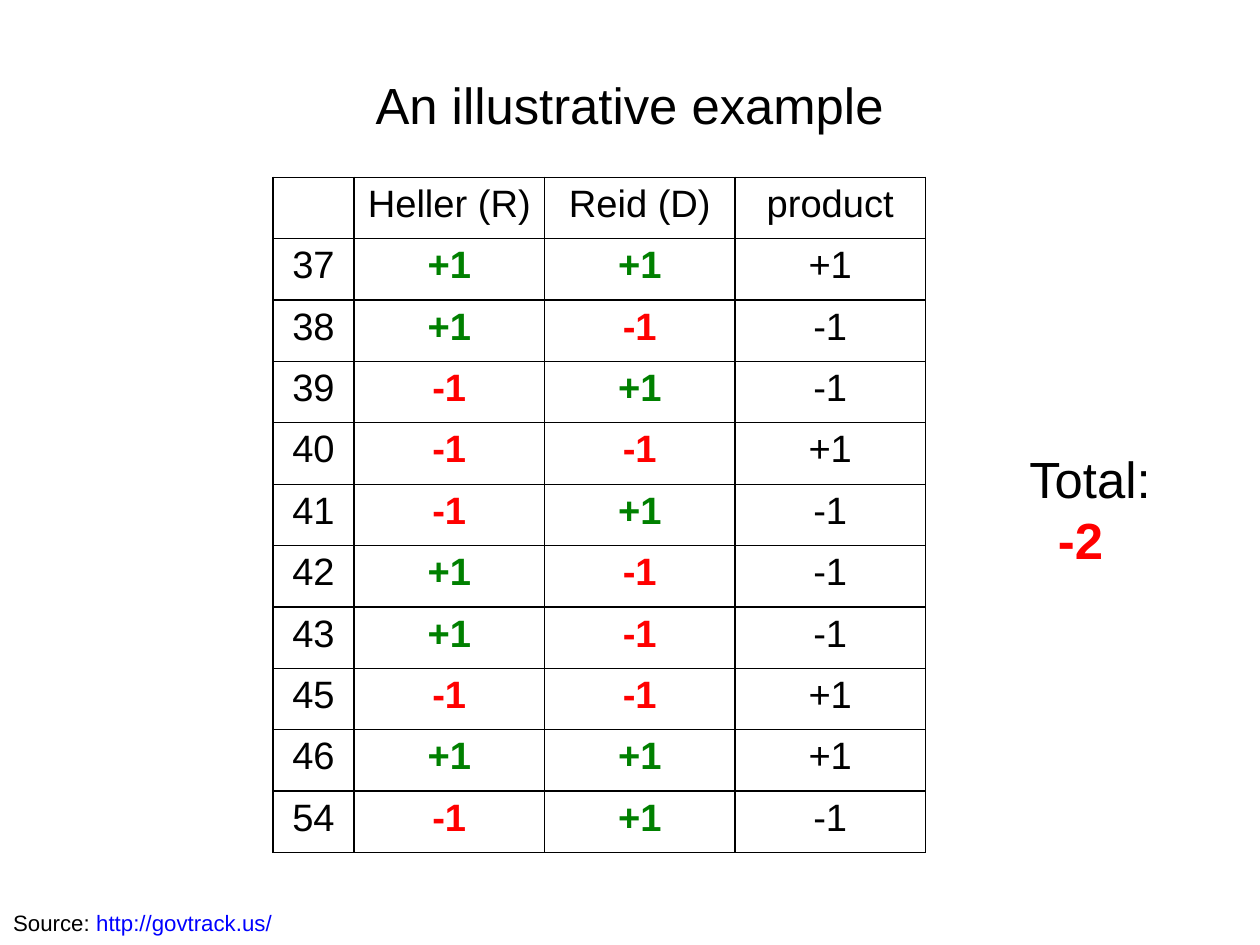
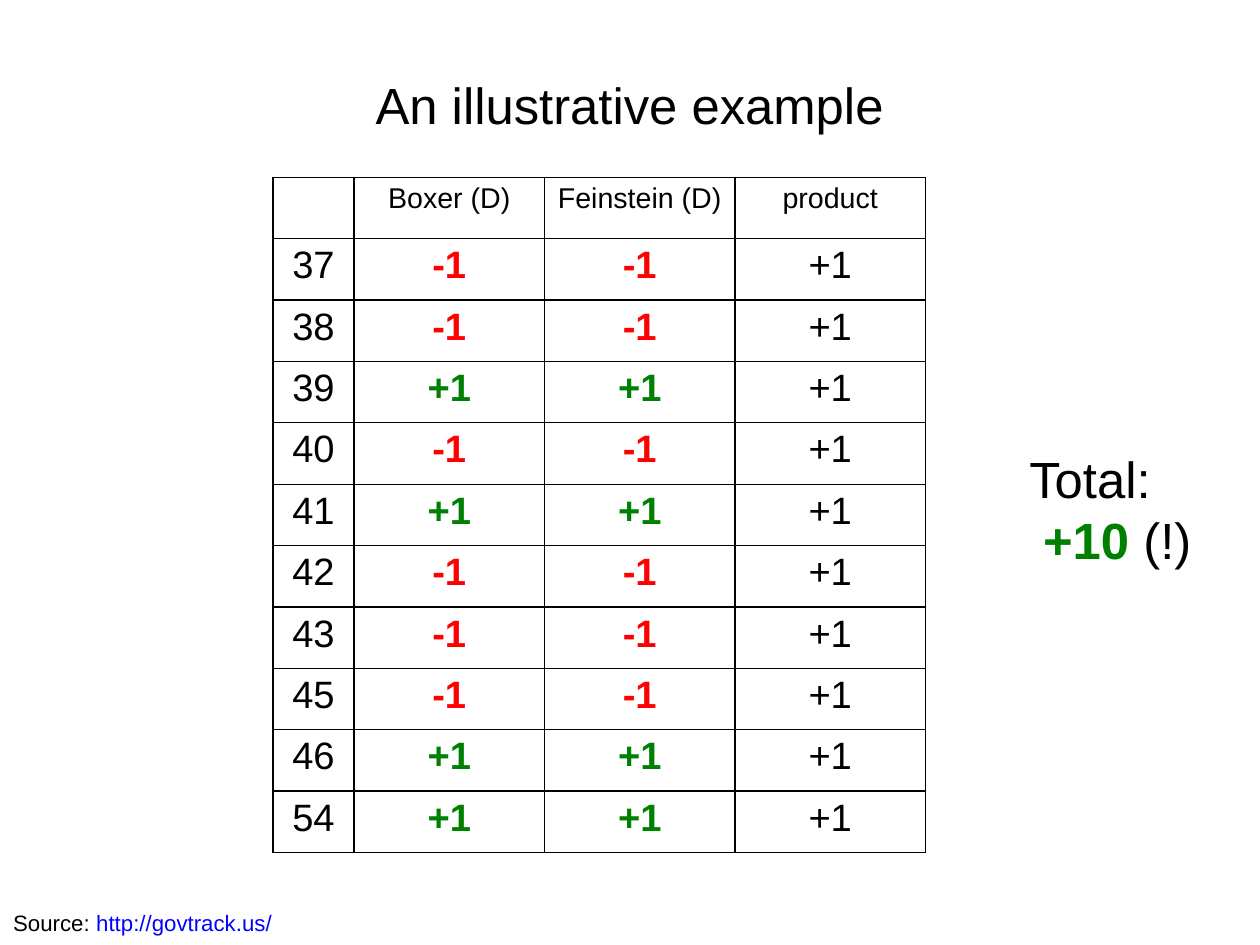
from lxml import etree
from pptx import Presentation
from pptx.dml.color import RGBColor
from pptx.enum.text import MSO_ANCHOR, PP_ALIGN
from pptx.oxml.ns import qn
from pptx.util import Emu, Inches, Pt

CENTER = PP_ALIGN.CENTER
LEFT = PP_ALIGN.LEFT
MIDDLE = MSO_ANCHOR.MIDDLE
TOP = MSO_ANCHOR.TOP

WIDTH, HEIGHT = Pt(793.75), Pt(595.25)
FONT = "Arial"
COLORS = {"text": "000000", "plus": "008000", "minus": "FF0000", "link": "0000FF"}
TITLE_ONLY = 5

VOTES = [37, 38, 39, 40, 41, 42, 43, 45, 46, 54]
EXAMPLES = [
    {
        "names": ("Heller (R)", "Reid (D)"),
        "header_size": 24,
        "first": (1, 1, -1, -1, -1, 1, 1, -1, 1, -1),
        "second": (1, -1, 1, -1, 1, -1, -1, -1, 1, 1),
        "remark": "",
        "indent": 0.25,
    },
    {
        "names": ("Boxer (D)", "Feinstein (D)"),
        "header_size": 18,
        "first": (-1, -1, 1, -1, 1, -1, -1, -1, 1, 1),
        "second": (-1, -1, 1, -1, 1, -1, -1, -1, 1, 1),
        "remark": "(!)",
        "indent": 0.12,
    },
]


def across(percent):
    return Emu(round(WIDTH * percent / 100))


def down(percent):
    return Emu(round(HEIGHT * percent / 100))


def area(left, top, width, height):
    return across(left), down(top), across(width), down(height)


def sign_color(value):
    return "plus" if value > 0 else "minus"


def add_text(paragraph, text, size=24, color="text", bold=False, align=LEFT):
    paragraph.alignment = align
    run = paragraph.add_run()
    run.text = text
    run.font.name = FONT
    run.font.size = Pt(size)
    run.font.bold = bold
    run.font.color.rgb = RGBColor.from_string(COLORS[color])


class Deck:
    def __init__(self):
        self.presentation = Presentation()
        self.presentation.slide_width = WIDTH
        self.presentation.slide_height = HEIGHT
        self.slide = None

    def add_slide(self, title):
        layout = self.presentation.slide_layouts[TITLE_ONLY]
        self.slide = self.presentation.slides.add_slide(layout)
        shape = self.slide.shapes.title
        shape.left, shape.top, shape.width, shape.height = area(5, 3.95, 90, 14.15)
        frame = shape.text_frame
        frame.margin_left = frame.margin_right = 0
        frame.margin_top = frame.margin_bottom = 0
        frame.vertical_anchor = MIDDLE
        add_text(frame.paragraphs[0], title, size=32, align=CENTER)

    def text_box(self, *place):
        frame = self.slide.shapes.add_textbox(*area(*place)).text_frame
        frame.word_wrap = True
        frame.vertical_anchor = TOP
        return frame

    def border(self, cell):
        properties = cell._tc.get_or_add_tcPr()
        for side in ("a:lnL", "a:lnR", "a:lnT", "a:lnB"):
            line = etree.SubElement(properties, qn(side), w=str(Pt(1)))
            fill = etree.SubElement(line, qn("a:solidFill"))
            etree.SubElement(fill, qn("a:srgbClr"), val=COLORS["text"])

    def vote_table(self, names, header_size, rows):
        place = area(21.66, 18.76, 51.8, 71.48)
        shape = self.slide.shapes.add_table(len(rows) + 1, 4, *place)
        table = shape.table
        table.first_row = table.horz_banding = False
        for column, share in zip(table.columns, (6.44, 15.12, 15.12, 15.12)):
            column.width = across(share)
        for cell in table.iter_cells():
            self.border(cell)
            cell.fill.background()
        for column, name in enumerate((*names, "product"), start=1):
            paragraph = table.cell(0, column).text_frame.paragraphs[0]
            add_text(paragraph, name, size=header_size, align=CENTER)
        for row, (vote, *values) in enumerate(rows, start=1):
            texts = [str(vote)] + [f"{value:+d}" for value in values]
            colors = ["text", *map(sign_color, values[:2]), "text"]
            for column, (text, color) in enumerate(zip(texts, colors)):
                paragraph = table.cell(row, column).text_frame.paragraphs[0]
                add_text(paragraph, text, color=color, bold=color != "text", align=CENTER)

    def total(self, value, remark, indent):
        frame = self.text_box(80.8, 46.75, 15.88, 13.3)
        add_text(frame.paragraphs[0], "Total:", size=32)
        paragraph = frame.add_paragraph()
        paragraph._p.get_or_add_pPr().set("marL", str(Inches(indent)))
        number = f"{value:+d}" + (" " if remark else "")
        add_text(paragraph, number, size=32, color=sign_color(value), bold=True)
        if remark:
            add_text(paragraph, remark, size=32)

    def source(self, address):
        paragraph = self.text_box(0.15, 95.6, 70.15, 3.87).paragraphs[0]
        add_text(paragraph, "Source: ", size=14)
        add_text(paragraph, address, size=14, color="link")


def main():
    deck = Deck()
    for example in EXAMPLES:
        rows = [
            (vote, first, second, first * second)
            for vote, first, second in zip(VOTES, example["first"], example["second"])
        ]
        deck.add_slide("An illustrative example")
        deck.vote_table(example["names"], example["header_size"], rows)
        deck.total(sum(row[-1] for row in rows), example["remark"], example["indent"])
        deck.source("http://govtrack.us/")
    deck.presentation.save("out.pptx")


if __name__ == "__main__":
    main()
